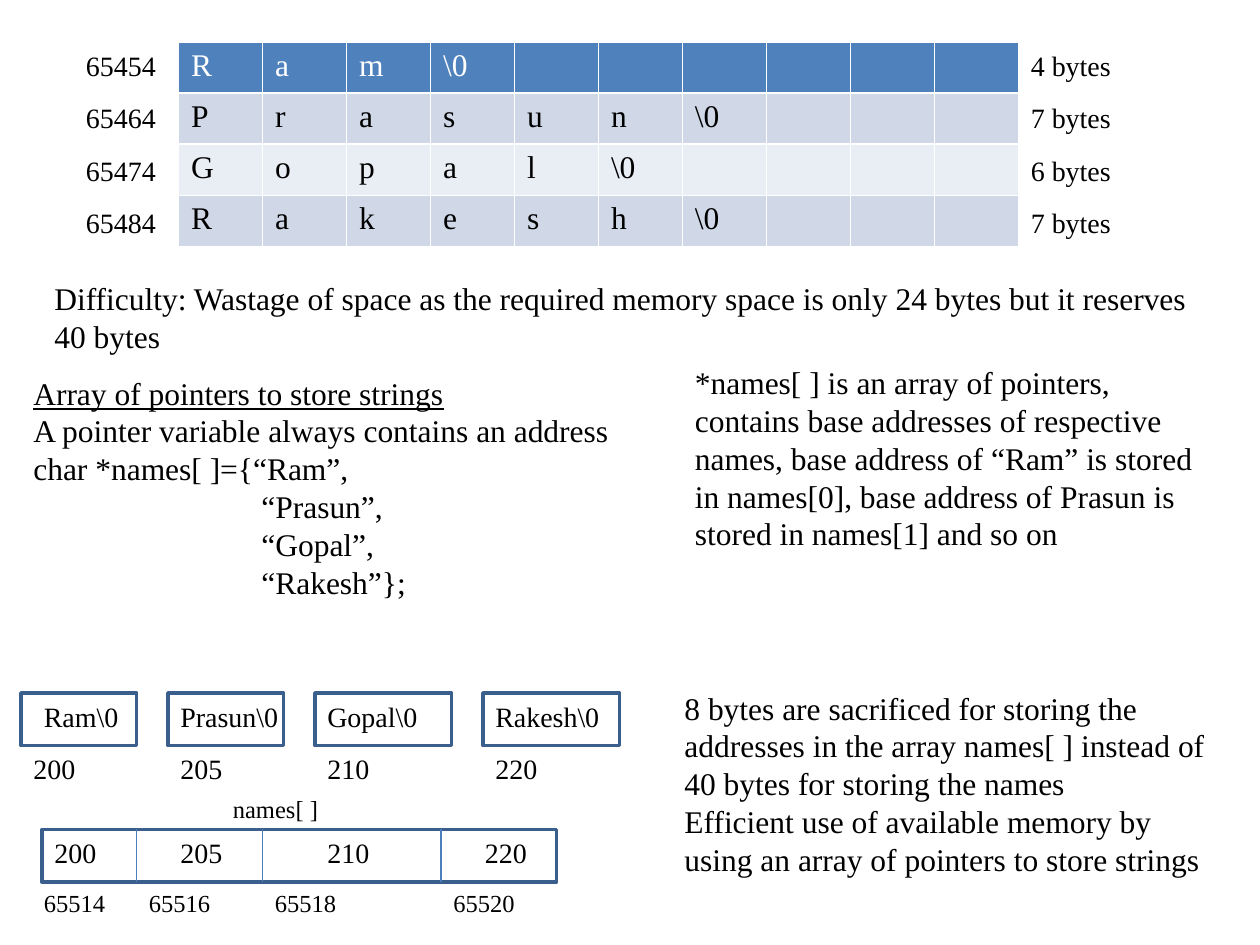
"""Build a slide on storing strings in a 2-D array versus an array of pointers."""
from dataclasses import dataclass

from lxml import etree
from pptx import Presentation
from pptx.dml.color import RGBColor
from pptx.enum.shapes import MSO_CONNECTOR, MSO_SHAPE
from pptx.enum.text import MSO_AUTO_SIZE
from pptx.oxml.ns import qn
from pptx.util import Inches, Pt

RECT = MSO_SHAPE.RECTANGLE
LINE = MSO_CONNECTOR.STRAIGHT
GROW = MSO_AUTO_SIZE.SHAPE_TO_FIT_TEXT


@dataclass(frozen=True)
class Theme:
    font: str = "Times New Roman"
    large: int = 18
    mid: int = 16
    small: int = 14
    ink: str = "000000"
    white: str = "FFFFFF"
    head: str = "4F81BD"
    bands: tuple = ("E9EDF4", "D0D8E8")
    edge: str = "3A5F8C"
    rule: str = "4B7EBC"


THEME = Theme()
GRID = 12
COLS, ROWS = 120, 90
INDENT = 1.81

NAMES = [
    ("65454", "Ram", "4 bytes"),
    ("65464", "Prasun", "7 bytes"),
    ("65474", "Gopal", "6 bytes"),
    ("65484", "Rakesh", "7 bytes"),
]
LETTERS = 10

NOTES = [
    (4, 26, 113, 8.5, [
        "Difficulty: Wastage of space as the required memory space is only "
        "24 bytes but it reserves 40 bytes"]),
    (2, 35, 61, 23, [
        ("Array of pointers to store strings", True, 0),
        "A pointer variable always contains an address",
        "char *names[ ]={“Ram”,",
        ("“Prasun”,", False, INDENT),
        ("“Gopal”,", False, INDENT),
        ("“Rakesh”};", False, INDENT)]),
    (65, 34, 52, 19.5, [
        "*names[ ] is an array of pointers, contains base addresses of "
        "respective names, base address of “Ram” is stored in names[0], "
        "base address of Prasun is stored in names[1] and so on"]),
    (64, 65, 52, 19.5, [
        "8 bytes are sacrificed for storing the addresses in the array "
        "names[ ] instead of 40 bytes for storing the names",
        "Efficient use of available memory by using an array of pointers "
        "to store strings"]),
]

BLOCKS = [
    ("Ram\\0", "200", 2, 11, 3, 10),
    ("Prasun\\0", "205", 16, 11, 16, 12),
    ("Gopal\\0", "210", 30, 13, 30, 12),
    ("Rakesh\\0", "220", 46, 13, 46, 13),
]
SLOTS = [
    ("200", 4, "65514", 3),
    ("205", 16, "65516", 13),
    ("210", 30, "65518", 25),
    ("220", 45, "65520", 42),
]
BLOCK_TOP, BASE_TOP, NAME_TOP, SLOT_TOP = 66, 71, 75, 79
BOX_H, MID_H, SMALL_H = 5, 4.4, 4


def units(*cells):
    return [Inches(n / GRID) for n in cells]


def color(code):
    return RGBColor.from_string(code)


def add_run(para, text, size, ink=THEME.ink, under=False):
    run = para.add_run()
    run.text = text
    run.font.name = THEME.font
    run.font.size = Pt(size)
    run.font.color.rgb = color(ink)
    if under:
        run.font.underline = True


def add_text(slide, area, lines, size=THEME.mid):
    frame = slide.shapes.add_textbox(*units(*area)).text_frame
    frame.word_wrap = True
    frame.auto_size = GROW
    for i, line in enumerate(lines):
        text, under, inset = (line, False, 0) if isinstance(line, str) else line
        para = frame.add_paragraph() if i else frame.paragraphs[0]
        add_run(para, text, size, under=under)
        if inset:
            props = para._p.get_or_add_pPr()
            props.set("marL", str(Inches(inset)))
            props.set("indent", "0")


def add_box(slide, *area):
    box = slide.shapes.add_shape(RECT, *units(*area))
    box.shadow.inherit = False
    box.fill.background()
    box.line.color.rgb = color(THEME.edge)
    box.line.width = Pt(2)


def add_rule(slide, x, top, end):
    rule = slide.shapes.add_connector(LINE, *units(x, top, x, end))
    rule.line.color.rgb = color(THEME.rule)
    rule.line.width = Pt(0.75)
    etree.SubElement(rule._element.spPr, qn("a:effectLst"))


def add_names(slide):
    left, top, step = 17, 4, 5
    table = slide.shapes.add_table(
        len(NAMES), LETTERS, *units(left, top, 80, 19.46)).table
    for r, (start, name, size) in enumerate(NAMES):
        chars = [*name, "\\0"]
        fill = THEME.bands[r % 2] if r else THEME.head
        ink = THEME.ink if r else THEME.white
        for c in range(LETTERS):
            cell = table.cell(r, c)
            cell.fill.solid()
            cell.fill.fore_color.rgb = color(fill)
            if c < len(chars):
                add_run(cell.text_frame.paragraphs[0], chars[c], THEME.large, ink)
        y = top + r * step
        add_text(slide, (7, y, 10, MID_H), [start])
        add_text(slide, (97, y, 11, MID_H), [size])


def add_blocks(slide):
    for name, base, x, wide, text_x, text_w in BLOCKS:
        add_text(slide, (text_x, BLOCK_TOP, text_w, MID_H), [name])
        add_box(slide, x, BLOCK_TOP, wide, BOX_H)
        add_text(slide, (x, BASE_TOP, 7, MID_H), [base])


def add_slots(slide):
    end = SLOT_TOP + BOX_H
    add_text(slide, (21, NAME_TOP, 11, SMALL_H), ["names[ ]"], THEME.small)
    add_box(slide, 4, SLOT_TOP, 49, BOX_H)
    for i, (base, x, place, edge) in enumerate(SLOTS):
        add_text(slide, (x, SLOT_TOP, 7, MID_H), [base])
        add_text(slide, (edge, end, 9, SMALL_H), [place], THEME.small)
        if i:
            add_rule(slide, edge, SLOT_TOP, end)


def main():
    deck = Presentation()
    deck.slide_width, deck.slide_height = units(COLS, ROWS)
    slide = deck.slides.add_slide(deck.slide_layouts[6])
    add_names(slide)
    for *area, lines in NOTES:
        add_text(slide, area, lines, THEME.large)
    add_blocks(slide)
    add_slots(slide)
    deck.save("out.pptx")


if __name__ == "__main__":
    main()
